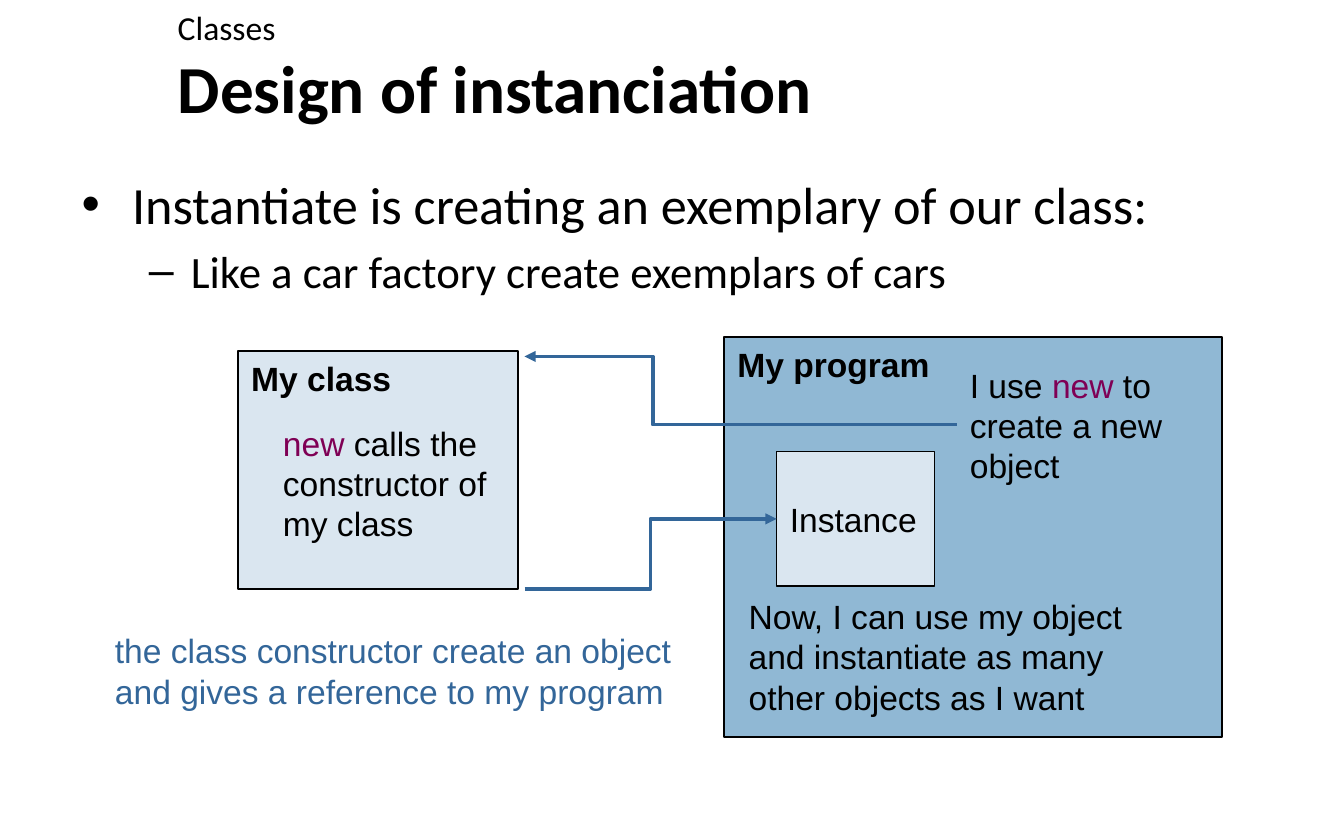
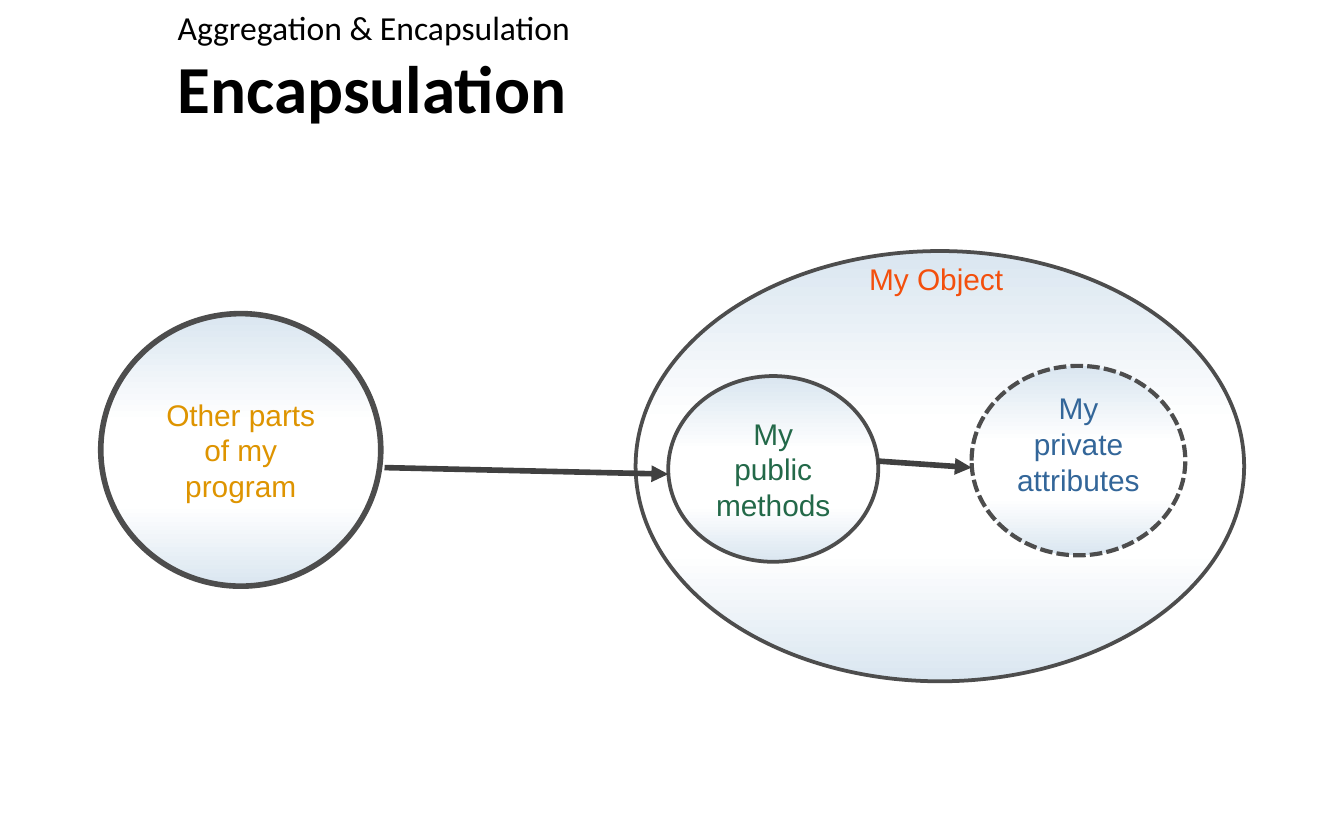
from lxml import etree
from pptx import Presentation
from pptx.dml.color import RGBColor
from pptx.enum.dml import MSO_LINE
from pptx.enum.shapes import MSO_CONNECTOR, MSO_SHAPE
from pptx.enum.text import MSO_ANCHOR, MSO_AUTO_SIZE, PP_ALIGN
from pptx.oxml.ns import qn
from pptx.util import Pt

RECTANGLE, OVAL = MSO_SHAPE.RECTANGLE, MSO_SHAPE.OVAL
STRAIGHT, ELBOW = MSO_CONNECTOR.STRAIGHT, MSO_CONNECTOR.ELBOW
TOP, MIDDLE = MSO_ANCHOR.TOP, MSO_ANCHOR.MIDDLE
LEFT, CENTER = PP_ALIGN.LEFT, PP_ALIGN.CENTER
SHORT_DASH = MSO_LINE.SQUARE_DOT
NO_AUTOFIT, GROW = MSO_AUTO_SIZE.NONE, MSO_AUTO_SIZE.SHAPE_TO_FIT_TEXT

BLACK = RGBColor(0x00, 0x00, 0x00)
WHITE = RGBColor(0xFF, 0xFF, 0xFF)
PALE_BLUE = RGBColor(0xDA, 0xE6, 0xF0)
MID_BLUE = RGBColor(0x90, 0xB8, 0xD4)
DEEP_BLUE = RGBColor(0x33, 0x66, 0x99)
KEYWORD_PURPLE = RGBColor(0x7F, 0x00, 0x55)
GREEN = RGBColor(0x23, 0x69, 0x49)
ORANGE = RGBColor(0xF3, 0x4F, 0x0D)
GOLD = RGBColor(0xDE, 0x94, 0x00)
OUTLINE_GRAY = RGBColor(0x4D, 0x4D, 0x4D)
ARROW_GRAY = RGBColor(0x40, 0x40, 0x40)

HEADING_FONT, DIAGRAM_FONT = "Calibri", "Arial"
KEYWORD = "new"
SLIDE_SIZE = (720, 450)
TITLE_BOX = (88, 26.5, 612.5, 39.5)
SECTION_BOX = (88, 0, 612.5, 26.5)
BODY_BOX = (36.5, 88.5, 652.5, 333.5)
GRADIENT_STOPS = [(0, PALE_BLUE), (40, WHITE), (70, WHITE), (100, PALE_BLUE)]

BULLETS = [
    (0, "Instantiate is creating an exemplary of our class:"),
    (1, "Like a car factory create exemplars of cars"),
]
BULLET_STYLES = [(28, 27, -27, "•"), (24, 58.5, -22.5, "–")]

CODE_BOXES = [
    ("My program", (388, 180.5, 266.5, 214.5), MID_BLUE, 1, True, TOP),
    ("My class", (127.5, 188, 150, 127.5), PALE_BLUE, 0.75, True, TOP),
    ("Instance", (416, 242, 84.5, 72), PALE_BLUE, 0.75, False, MIDDLE),
]
CODE_NOTES = [
    (["I use new to", "create a new", "object"],
     (512.5, 191.5, 119.5, 72.5), BLACK, 0, False),
    (["the class constructor create an object",
      "and gives a reference to my program"],
     (54.5, 332.5, 316, 53.5), DEEP_BLUE, None, False),
    (["Now, I can use my object", "and instantiate as many",
      "other objects as I want"],
     (394, 315.5, 216.5, 72.5), BLACK, None, False),
    (["new calls the constructor of my class"],
     (144.5, 222.5, 136, 72.5), BLACK, 0, True),
]
CODE_ARROWS = [
    ((281, 315.5), (416, 278), 50000),
    ((512.5, 227.5), (281, 191), 70300),
]

OBJECT_ELLIPSES = [
    ("", (340.5, 134.5, 326, 230.5), BLACK, 2, None, 3.6),
    ("My private attributes", (520.5, 196, 114.5, 101.5),
     DEEP_BLUE, 2.25, SHORT_DASH, 22),
    ("My public methods", (358, 201.5, 112.5, 99.5), GREEN, 2, None, 3.6),
    ("Other parts of my program", (54, 168, 150, 146), GOLD, 3, None, 3.6),
]
OBJECT_LABEL = ("My Object", (458.5, 136, 90, 26.5))
ACCESS_ARROWS = [
    ((206, 250.5), (358, 254)),
    ((470, 247), (520.5, 250.5)),
]


def points(values):
    return [Pt(value) for value in values]


def place(shape, box):
    shape.left, shape.top, shape.width, shape.height = points(box)


def style_paragraph(paragraph, name, size, color, bold=False, align=LEFT):
    paragraph.alignment = align
    font = paragraph.font
    font.name, font.size, font.bold = name, Pt(size), bold
    font.color.rgb = color


def set_bullet(paragraph, margin, indent, character=None):
    properties = paragraph._p.get_or_add_pPr()
    properties.set("marL", str(Pt(margin)))
    properties.set("indent", str(Pt(indent)))
    tag = "a:buChar" if character else "a:buNone"
    bullet = properties.makeelement(qn(tag), {"char": character} if character else {})
    default_font = properties.find(qn("a:defRPr"))
    default_font.addprevious(bullet)


def fill_placeholder(placeholder, box, text, size, bold=False, anchor=TOP):
    place(placeholder, box)
    frame = placeholder.text_frame
    frame.text = text
    frame.auto_size = NO_AUTOFIT
    frame.vertical_anchor = anchor
    style_paragraph(frame.paragraphs[0], HEADING_FONT, size, BLACK, bold)
    return frame


def add_titled_slide(presentation, layout_index, section, title):
    slide = presentation.slides.add_slide(presentation.slide_layouts[layout_index])
    fill_placeholder(slide.shapes.title, TITLE_BOX, title, 36, True, MIDDLE)
    frame = fill_placeholder(slide.placeholders[1], SECTION_BOX, section, 18)
    set_bullet(frame.paragraphs[0], 0, 0)
    return slide


def add_bullets(placeholder):
    place(placeholder, BODY_BOX)
    frame = placeholder.text_frame
    frame.auto_size = NO_AUTOFIT
    frame.text = "\n".join(text for _, text in BULLETS)
    for paragraph, (level, _) in zip(frame.paragraphs, BULLETS):
        size, margin, indent, character = BULLET_STYLES[level]
        paragraph.level = level
        style_paragraph(paragraph, HEADING_FONT, size, BLACK)
        set_bullet(paragraph, margin, indent, character)


def add_figure(slide, kind, box, line_color, line_width):
    shape = slide.shapes.add_shape(kind, *points(box))
    shape.shadow.inherit = False
    shape.line.color.rgb = line_color
    shape.line.width = Pt(line_width)
    shape.text_frame.word_wrap = True
    return shape


def add_code_box(slide, text, box, fill, line_width, bold, anchor):
    shape = add_figure(slide, RECTANGLE, box, BLACK, line_width)
    shape.fill.solid()
    shape.fill.fore_color.rgb = fill
    frame = shape.text_frame
    frame.text = text
    frame.vertical_anchor = anchor
    style_paragraph(frame.paragraphs[0], DIAGRAM_FONT, 18, BLACK, bold)


def add_ellipse(slide, text, box, color, line_width, dash, bottom_inset):
    shape = add_figure(slide, OVAL, box, OUTLINE_GRAY, line_width)
    if dash:
        shape.line.dash_style = dash
    shape.fill.gradient()
    shape.fill.gradient_angle = 270
    stops = shape._element.spPr.find(".//" + qn("a:gsLst"))
    for stop in list(stops):
        stops.remove(stop)
    for percent, stop_color in GRADIENT_STOPS:
        stop = etree.SubElement(stops, qn("a:gs"), pos=str(percent * 1000))
        etree.SubElement(stop, qn("a:srgbClr"), val=str(stop_color))
    if text:
        frame = shape.text_frame
        frame.text = text
        frame.vertical_anchor = MIDDLE
        frame.margin_bottom = Pt(bottom_inset)
        style_paragraph(frame.paragraphs[0], DIAGRAM_FONT, 16, color, align=CENTER)


def add_note(slide, lines, box, color, size=18, keyword_line=None, wrap=True,
             anchor=MIDDLE):
    frame = slide.shapes.add_textbox(*points(box)).text_frame
    frame.word_wrap = wrap
    frame.auto_size = GROW
    frame.vertical_anchor = anchor
    frame.text = "\n".join(lines)
    for index, paragraph in enumerate(frame.paragraphs):
        if index == keyword_line:
            before, after = paragraph.text.split(KEYWORD, 1)
            paragraph.clear()
            for text in filter(None, (before, KEYWORD, after)):
                run = paragraph.add_run()
                run.text = text
                run.font.color.rgb = KEYWORD_PURPLE if text == KEYWORD else color
        style_paragraph(paragraph, DIAGRAM_FONT, size, color)


def add_arrow(slide, kind, start, end, color, width, bend=None):
    connector = slide.shapes.add_connector(kind, *points(start + end))
    connector.line.color.rgb = color
    connector.line.width = Pt(width)
    properties = connector._element.spPr
    etree.SubElement(properties.find(qn("a:ln")), qn("a:tailEnd"), type="triangle")
    etree.SubElement(properties, qn("a:effectLst"))
    if bend is not None:
        adjustments = properties.find(".//" + qn("a:avLst"))
        etree.SubElement(adjustments, qn("a:gd"), name="adj1", fmla=f"val {bend}")


def build_instanciation(presentation):
    slide = add_titled_slide(presentation, 3, "Classes", "Design of instanciation")
    add_bullets(slide.placeholders[2])
    for code_box in CODE_BOXES:
        add_code_box(slide, *code_box)
    for lines, box, color, keyword_line, wrap in CODE_NOTES:
        add_note(slide, lines, box, color, keyword_line=keyword_line, wrap=wrap)
    for start, end, bend in CODE_ARROWS:
        add_arrow(slide, ELBOW, start, end, DEEP_BLUE, 2, bend)


def build_encapsulation(presentation):
    slide = add_titled_slide(
        presentation, 1, "Aggregation & Encapsulation", "Encapsulation")
    for ellipse in OBJECT_ELLIPSES:
        add_ellipse(slide, *ellipse)
    label, box = OBJECT_LABEL
    add_note(slide, [label], box, ORANGE, size=16, anchor=TOP)
    for start, end in ACCESS_ARROWS:
        add_arrow(slide, STRAIGHT, start, end, ARROW_GRAY, 3)


def main():
    presentation = Presentation()
    presentation.slide_width, presentation.slide_height = points(SLIDE_SIZE)
    build_instanciation(presentation)
    build_encapsulation(presentation)
    presentation.save("out.pptx")


if __name__ == "__main__":
    main()
